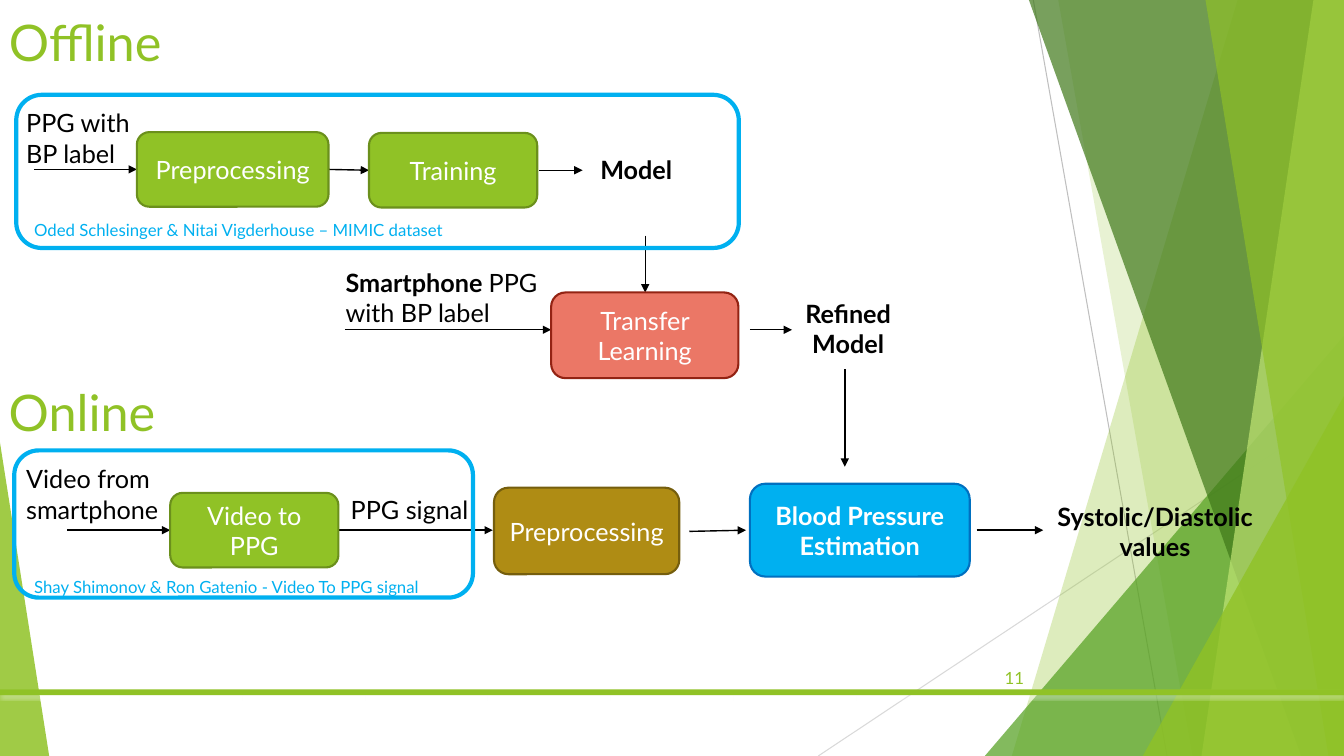
from lxml import etree
from pptx import Presentation
from pptx.dml.color import RGBColor
from pptx.enum import shapes as kinds, text as t
from pptx.oxml import parse_xml
from pptx.oxml.ns import nsdecls, qn
from pptx.util import Cm, Pt

WIDTH, HEIGHT = 33.87, 19.05
GREEN, BLUE, BLACK, WHITE = "90C226", "00B0F0", "000000", "FFFFFF"


def paint(target, color, alpha=100):
    """Give a fill or a line one solid colour."""
    fill = getattr(target, "fill", target)
    fill.solid()
    fill.fore_color.rgb = RGBColor.from_string(color)


def write(shape, words, size=18, color=BLACK, bold=False,
          align=t.PP_ALIGN.LEFT, anchor=t.MSO_ANCHOR.TOP):
    """Fill a shape with one paragraph; words is a string or (words, bold) runs."""
    frame = shape.text_frame
    frame.word_wrap = True
    frame.auto_size = t.MSO_AUTO_SIZE.NONE
    frame.vertical_anchor = anchor
    paragraph = frame.paragraphs[0]
    paragraph.alignment = align
    runs = [(words, bold)] if isinstance(words, str) else words
    for part, is_bold in runs:
        run = paragraph.add_run()
        run.text = part
        run.font.name = "Lato"
        run.font.size = Pt(size)
        run.font.bold = is_bold
        run.font.color.rgb = RGBColor.from_string(color)


deck = Presentation()
deck.slide_width, deck.slide_height = Cm(WIDTH), Cm(HEIGHT)
slide = deck.slides.add_slide(deck.slide_layouts[5])
canvas = slide.shapes

# Hairlines and arrows: start, end, colour, width, arrowhead
hairlines = [
    (26.04, 0, 29.41, HEIGHT, "BFBFBF"),
    (WIDTH, 10.24, 20.62, HEIGHT, "D9D9D9"),
]
arrows = [
    (0.86, 4.27, 3.45, 4.27),
    (8.28, 4.27, 9.3, 4.29),
    (13.59, 4.29, 14.68, 4.29),
    (16.26, 5.94, 16.26, 7.37),
    (8.69, 8.31, 13.89, 8.31),
    (18.9, 8.31, 19.96, 8.31),
    (21.29, 9.3, 21.29, 11.76),
    (1.7, 13.36, 4.29, 13.36),
    (8.53, 13.36, 12.42, 13.36),
    (17.37, 13.39, 18.8, 13.36),
    (24.61, 13.36, 26.29, 13.36),
]
strokes = [(*hairline, 0.75, False) for hairline in hairlines]
strokes += [(*arrow, BLACK, 1, True) for arrow in arrows]
for x1, y1, x2, y2, color, width, has_head in strokes:
    stroke = canvas.add_connector(
        kinds.MSO_CONNECTOR.STRAIGHT, Cm(x1), Cm(y1), Cm(x2), Cm(y2))
    paint(stroke.line, color)
    stroke.line.width = Pt(width)
    properties = stroke.element.spPr
    if has_head:
        etree.SubElement(properties.find(qn("a:ln")), qn("a:tailEnd"), type="triangle")
    etree.SubElement(properties, qn("a:effectLst"))

# Translucent facets: bands (top x, bottom x) run to the right edge,
# triangles (left, top, width, peak) stand on the bottom edge
facets = [
    ((31.19, 25.5), GREEN, 30),
    ((26.67, 30.05), GREEN, 20),
    ((24.82, 8.46, 9.05, 1), "54A021", 72),
    ((25.93, 32.79), "3F7819", 70),
    ((33.1, 30.28), "C0E474", 70),
    ((30.38, 33.48), GREEN, 65),
    ((28.8, 9.98, 5.07, 1), GREEN, 80),
    ((0, 11.15, 1.24, 0), GREEN, 85),
]
for outline, color, opacity in facets:
    if len(outline) == 2:
        top_x, bottom_x = outline
        builder = canvas.build_freeform(Cm(top_x), 0)
        builder.add_line_segments([
            (Cm(WIDTH), 0), (Cm(WIDTH), Cm(HEIGHT)), (Cm(bottom_x), Cm(HEIGHT))])
        facet = builder.convert_to_shape()
    else:
        left, top, width, peak = outline
        facet = canvas.add_shape(
            kinds.MSO_SHAPE.ISOSCELES_TRIANGLE,
            Cm(left), Cm(top), Cm(width), Cm(HEIGHT - top))
        facet.adjustments[0] = peak
    paint(facet, color)
    facet.line.fill.background()
    facet.shadow.inherit = False
    tint = facet.element.spPr.find(qn("a:solidFill"))[0]
    etree.SubElement(tint, qn("a:alpha"), val=str(opacity * 1000))

# Footer bar with a soft white shadow
footer_bar = canvas.add_shape(
    kinds.MSO_SHAPE.RECTANGLE, 0, Cm(17.37), Cm(WIDTH), Cm(0.15))
paint(footer_bar, GREEN)
footer_bar.line.fill.background()
footer_bar.element.spPr.append(parse_xml(
    f'<a:effectLst {nsdecls("a")}>'
    '<a:outerShdw blurRad="25400" dist="25400" dir="5400000">'
    '<a:srgbClr val="FFFFFF"><a:alpha val="40000"/></a:srgbClr>'
    '</a:outerShdw></a:effectLst>'))

# Headings of the two phases
offline = canvas.title
offline.left, offline.top = Cm(-0.03), Cm(0.15)
offline.width, offline.height = Cm(23.88), Cm(3.66)
online = canvas.add_textbox(Cm(-0.03), Cm(9.47), Cm(23.88), Cm(3.66))
write(offline, "Offline", size=36, color=GREEN)
write(online, "Online", size=36, color=GREEN)

# Process steps and the frames around earlier projects
LEAF = "6B901C"
steps = [
    ("Preprocessing", 3.45, 3.33, 4.83, 1.88, GREEN, LEAF, False),
    ("Training", 9.3, 3.35, 4.24, 1.88, GREEN, LEAF, False),
    ("Transfer Learning", 13.89, 7.37, 4.72, 2.16, "EB7766", "932313", False),
    ("Video to PPG", 4.29, 12.42, 4.24, 1.88, GREEN, LEAF, False),
    ("Preprocessing", 12.45, 12.29, 4.67, 2.18, "AF8C14", "755E0D", False),
    ("Blood Pressure Estimation", 18.9, 12.19, 5.54, 2.34, BLUE, "0070C0", True),
    (None, 0.41, 2.39, 18.21, 3.86, None, BLUE, False),
    (None, 0.36, 11.35, 11.56, 3.71, None, BLUE, False),
]
for words, left, top, width, height, color, border, bold in steps:
    step = canvas.add_shape(
        kinds.MSO_SHAPE.ROUNDED_RECTANGLE, Cm(left), Cm(top), Cm(width), Cm(height))
    step.shadow.inherit = False
    paint(step.line, border)
    if words:
        paint(step, color)
        step.line.width = Pt(1.5)
        write(step, words, color=WHITE, bold=bold,
              align=t.PP_ALIGN.CENTER, anchor=t.MSO_ANCHOR.MIDDLE)
    else:
        step.fill.background()
        step.line.width = Pt(3)

# Inputs, outputs, credits and slide number
credit = dict(size=12, color=BLUE)
result = dict(bold=True, align=t.PP_ALIGN.CENTER)
number = dict(size=12, color=GREEN, align=t.PP_ALIGN.RIGHT, anchor=t.MSO_ANCHOR.MIDDLE)
labels = [
    ("PPG with BP label", 0.41, 2.59, 3.53, 1.8, {}),
    ("Model", 14.88, 3.76, 2.74, 1.02, dict(bold=True)),
    ([("Smartphone ", True), ("PPG with BP label", False)], 8.46, 6.6, 5.92, 1.8, {}),
    ("Refined Model", 19.1, 7.39, 4.55, 1.8, result),
    ("Video from smartphone", 0.41, 11.56, 4.57, 1.8, {}),
    ("PPG signal", 8.59, 12.32, 4.57, 1.02, {}),
    ("Systolic/Diastolic values", 26.19, 12.5, 5.84, 1.8, result),
    ("Oded Schlesinger & Nitai Vigderhouse – MIMIC dataset",
     0.61, 5.41, 12.65, 0.76, credit),
    ("Shay Shimonov & Ron Gatenio - Video To PPG signal",
     0.61, 14.4, 10.54, 0.76, credit),
    ("11", 24.16, 16.56, 1.9, 1.02, number),
]
for words, left, top, width, height, style in labels:
    label = canvas.add_textbox(Cm(left), Cm(top), Cm(width), Cm(height))
    write(label, words, **style)

deck.save("out.pptx")
